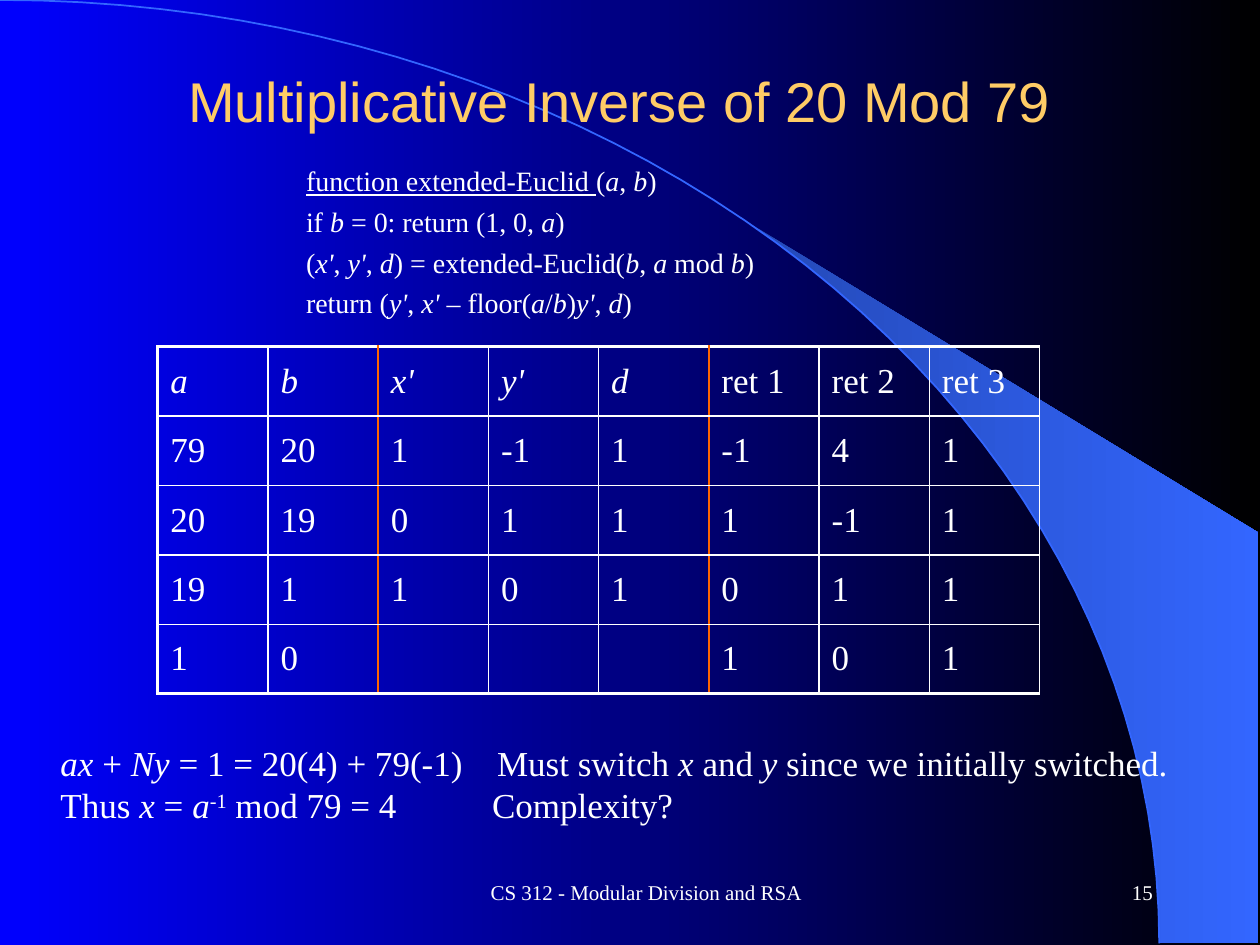
from math import cos, radians, sin

from lxml import etree
from pptx import Presentation
from pptx.dml.color import RGBColor
from pptx.enum.text import MSO_ANCHOR, PP_ALIGN
from pptx.oxml.ns import qn
from pptx.util import Cm, Pt

LEFT, CENTER, RIGHT = PP_ALIGN.LEFT, PP_ALIGN.CENTER, PP_ALIGN.RIGHT
TOP, MIDDLE = MSO_ANCHOR.TOP, MSO_ANCHOR.MIDDLE
SERIF, SANS = "Times New Roman", "Arial"
COLORS = {"blue": "0000FF", "black": "000000", "white": "FFFFFF",
          "gold": "FFCC66", "orange": "FF6600",
          "arc": "3366FF", "ribbon": "2449B6"}
RGB = {name: RGBColor.from_string(h) for name, h in COLORS.items()}


def fill_paragraph(p, text, size, font=SERIF, color="white", align=LEFT):
    """Write text into p, with the parts between asterisks in italics."""
    p.alignment = align
    p.font.size, p.font.name = Pt(size), font
    p.font.color.rgb = RGB[color]
    for i, part in enumerate(text.split("*")):
        if part:
            r = p.add_run()
            r.text = part
            r.font.size, r.font.name = Pt(size), font
            r.font.color.rgb = RGB[color]
            r.font.italic = i % 2 == 1


def add_text(box, lines, size, anchor=TOP, **style):
    sp = s.shapes.add_textbox(*[Cm(v) for v in box])
    tf = sp.text_frame
    tf.word_wrap = True
    tf.vertical_anchor = anchor
    for i, line in enumerate(lines):
        p = tf.paragraphs[0] if i == 0 else tf.add_paragraph()
        fill_paragraph(p, line, size, **style)
    return tf.paragraphs


prs = Presentation()
prs.slide_width, prs.slide_height = Cm(25.4), Cm(19.05)
s = prs.slides.add_slide(prs.slide_layouts[6])

# Background and the quarter ellipse with its ribbon
background = s.background.fill
arc = [(Cm(23.37 * sin(radians(t))), Cm(19.02 * (1 - cos(radians(t)))))
       for t in range(0, 91, 2)]

ribbon_points = arc[20:] + [(Cm(25.37), Cm(19.02)), (Cm(25.37), Cm(10.74))]
fb = s.shapes.build_freeform(*ribbon_points[0])
fb.add_line_segments(ribbon_points[1:], close=True)
ribbon = fb.convert_to_shape()
ribbon.shadow.inherit = False
ribbon.line.fill.background()

for fill, first, last in ((background, "blue", "black"),
                          (ribbon.fill, "ribbon", "arc")):
    fill.gradient()
    fill.gradient_angle = 0
    for stop, position, color in zip(fill.gradient_stops, (0, 1), (first, last)):
        stop.position = position
        stop.color.rgb = RGB[color]

fb = s.shapes.build_freeform(*arc[0])
fb.add_line_segments(arc[1:], close=False)
curve = fb.convert_to_shape()
curve.shadow.inherit = False
curve.fill.background()
curve.line.color.rgb = RGB["arc"]
curve.line.width = Pt(1)

# Title and footer
add_text((1.7, 0.84, 21.59, 2.34), ["Multiplicative Inverse of 20 Mod 79"],
         32, MIDDLE, font=SANS, color="gold", align=CENTER)
add_text((8.05, 17.35, 9.96, 1.27), ["CS 312 - Modular Division and RSA"],
         12, MIDDLE, align=CENTER)
add_text((18.21, 17.35, 5.28, 1.27), ["15"], 12, MIDDLE, align=RIGHT)

# Pseudocode
code = add_text((4.65, 3.18, 17.58, 3.38), [
    "function extended-Euclid **(*a*, *b*)",
    "if *b* = 0: return (1, 0, *a*)",
    "(*x'*, *y'*, *d*) = extended-Euclid(*b*, *a *mod *b*)",
    "return (*y'*, *x' *– floor(*a*/*b*)*y'*, *d*)",
], 16)
for p in code:
    p.space_before = Pt(4)
    p._p.get_or_add_pPr().set("marL", str(Cm(1.27)))
code[0].runs[0].font.underline = True

# Trace of the recursive calls
rows = [
    ["*a*", "*b*", "*x'*", "*y'*", "*d*", "ret 1", "ret 2", "ret 3"],
    ["79", "20", "1", "-1", "1", "-1", "4", "1"],
    ["20", "19", "0", "1", "1", "1", "-1", "1"],
    ["19", "1", "1", "0", "1", "0", "1", "1"],
    ["1", "0", "", "", "", "1", "0", "1"],
]
ORANGE_EDGES = (2, 5)  # columns whose left edge separates a group
n_rows, n_cols = len(rows), len(rows[0])
table = s.shapes.add_table(n_rows, n_cols, Cm(3.18), Cm(6.99),
                           Cm(17.78), Cm(7)).table
table.first_row = table.horz_banding = False
for column in table.columns:
    column.width = Cm(17.78 / n_cols)
for i, row in enumerate(rows):
    table.rows[i].height = Cm(7 / n_rows)
    for j, text in enumerate(row):
        cell = table.cell(i, j)
        cell.vertical_anchor = MIDDLE
        fill_paragraph(cell.text_frame.paragraphs[0], text, 20)
        borders = (
            ("L", "orange" if j in ORANGE_EDGES else "white", j == 0),
            ("R", "orange" if j + 1 in ORANGE_EDGES else "white", False),
            ("T", "white", i == 0),
            ("B", "white", i == n_rows - 1),
        )
        tcPr = cell._tc.get_or_add_tcPr()
        for side, color, thick in borders:
            ln = etree.SubElement(tcPr, qn(f"a:ln{side}"),
                                  w=str(Pt(2.25 if thick else 1)))
            solid = etree.SubElement(ln, qn("a:solidFill"))
            etree.SubElement(solid, qn("a:srgbClr"), val=COLORS[color])
        cell.fill.background()

# Conclusion, with a tab stop for the remark on each line
conclusion = add_text((0.97, 14.83, 23.06, 1.96), [
    "*ax *+ *Ny *= 1 = 20(4) + 79(-1)\tMust switch *x* and *y*"
    " since we initially switched.",
    "Thus *x* = *a*-1** mod 79 = 4\tComplexity?",
], 20)
for p, stop in zip(conclusion, (8.8, 8.7)):
    tabs = etree.SubElement(p._p.get_or_add_pPr(), qn("a:tabLst"))
    etree.SubElement(tabs, qn("a:tab"), pos=str(Cm(stop)), algn="l")
    # the tab list has to come before the default run properties
    tabs.getparent().insert(0, tabs)
conclusion[1].runs[4].font._element.set("baseline", "30000")

prs.save("out.pptx")
